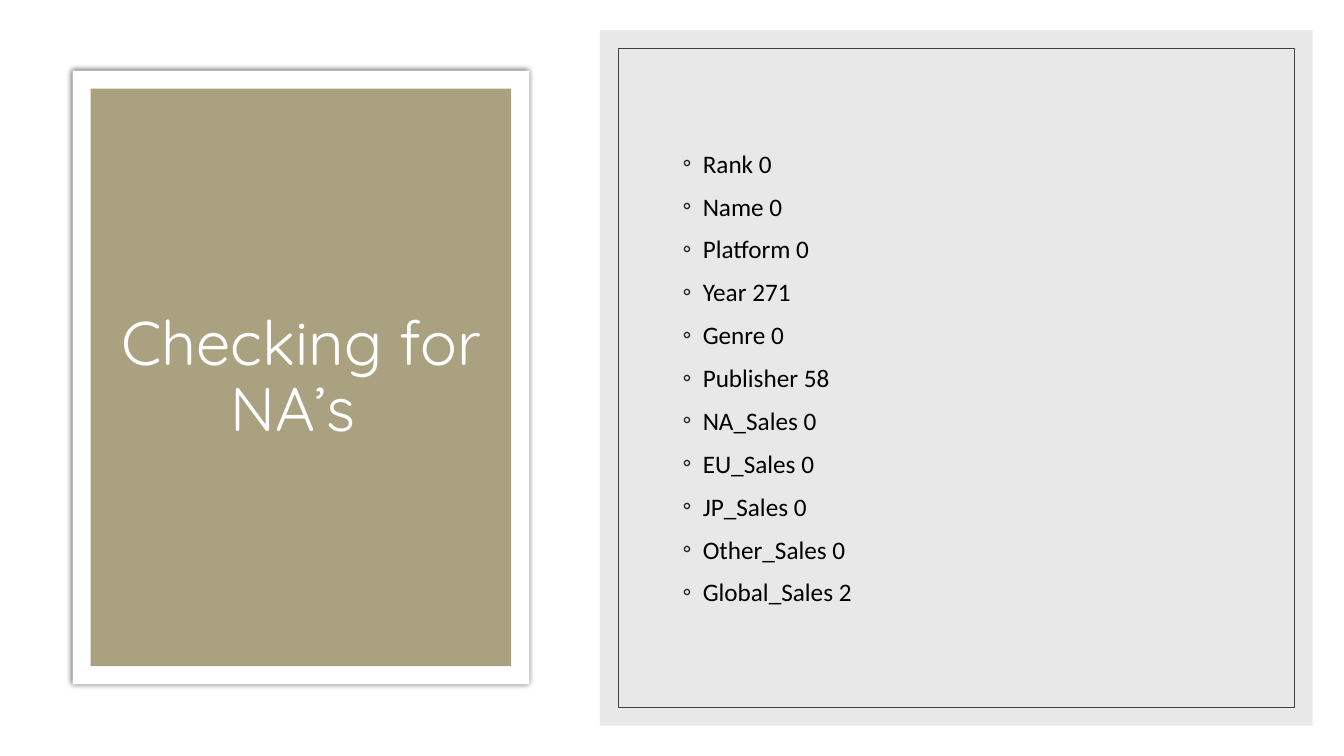
from lxml.etree import SubElement
from pptx import Presentation
from pptx.dml.color import RGBColor
from pptx.enum.shapes import MSO_SHAPE
from pptx.enum.text import MSO_ANCHOR, MSO_AUTO_SIZE, PP_ALIGN
from pptx.oxml.ns import qn
from pptx.util import Emu, Pt

EMU_PER_PX = 9144
WIDTH, HEIGHT = 1333, 750
MAT = 18
NA_COUNTS = {
    "Rank": 0, "Name": 0, "Platform": 0, "Year": 271, "Genre": 0,
    "Publisher": 58, "NA_Sales": 0, "EU_Sales": 0, "JP_Sales": 0,
    "Other_Sales": 0, "Global_Sales": 2,
}


def px(length):
    return Emu(length * EMU_PER_PX)


def color(hex_code):
    return RGBColor.from_string(hex_code)


def inset(box, margin):
    left, top, width, height = box
    return left + margin, top + margin, width - 2 * margin, height - 2 * margin


class SlideBuilder:
    """Draws the slide's panels and text in one shared style."""

    title_font, body_font = "Quicksand", "Calibri"
    ink, bullet_ink = "000000", "262626"

    def __init__(self, slide):
        self.slide = slide

    def panel(self, box, fill=None, line=None, alpha=None, shadow=False):
        panel = self.slide.shapes.add_shape(MSO_SHAPE.RECTANGLE, *map(px, box))
        panel.shadow.inherit = False
        if fill:
            panel.fill.solid()
            panel.fill.fore_color.rgb = color(fill)
        else:
            panel.fill.background()
        if line:
            panel.line.color.rgb = color(line)
            panel.line.width = Pt(0.5)
        else:
            panel.line.fill.background()
        properties = panel._element.spPr
        if alpha:
            tint = properties.find(qn("a:solidFill"))[0]
            SubElement(tint, qn("a:alpha"), val=str(alpha * 1000))
        if shadow:
            effects = properties.find(qn("a:effectLst"))
            glow = SubElement(effects, qn("a:outerShdw"), blurRad=str(Pt(4)),
                              dist="0", dir="0", algn="ctr", rotWithShape="0")
            shade = SubElement(glow, qn("a:srgbClr"), val="000000")
            SubElement(shade, qn("a:alpha"), val="66000")

    def place(self, holder, box):
        holder.left, holder.top, holder.width, holder.height = map(px, box)
        self.slide.shapes._spTree.append(holder._element)
        frame = holder.text_frame
        frame.word_wrap = True
        frame.auto_size = MSO_AUTO_SIZE.NONE
        frame.vertical_anchor = MSO_ANCHOR.MIDDLE
        return frame

    def style(self, paragraph, font, size, ink):
        for run in paragraph.runs:
            run.font.name = font
            run.font.size = Pt(size)
            run.font.color.rgb = color(ink)

    def title(self, box, text):
        frame = self.place(self.slide.shapes.title, box)
        frame.text = text
        heading = frame.paragraphs[0]
        heading.alignment = PP_ALIGN.CENTER
        heading.line_spacing = 0.9
        self.style(heading, self.title_font, 44, "FFFFFF")

    def bullets(self, box, items):
        frame = self.place(self.slide.placeholders[1], box)
        frame.text = "\n".join(items)
        for item in frame.paragraphs:
            item.space_before = Pt(9)
            self.style(item, self.body_font, 18, self.ink)
            properties = item._p.get_or_add_pPr()
            properties.set("marL", str(px(20)))
            properties.set("indent", str(px(-20)))
            bullet_color = SubElement(properties, qn("a:buClr"))
            SubElement(bullet_color, qn("a:srgbClr"), val=self.bullet_ink)
            SubElement(properties, qn("a:buFont"), typeface=self.body_font)
            SubElement(properties, qn("a:buChar"), char="◦")


def main():
    deck = Presentation()
    deck.slide_width, deck.slide_height = px(WIDTH), px(HEIGHT)
    builder = SlideBuilder(deck.slides.add_slide(deck.slide_layouts[1]))
    title_card = (72, 70, 453, 609)
    list_card = (595, 30, 707, 690)

    builder.panel((0, 0, WIDTH, HEIGHT), fill="FFFFFF")
    builder.panel(title_card, fill="FFFFFF", shadow=True)
    builder.panel(inset(title_card, MAT), fill="AAA180")
    builder.title((108, 130, 382, 491), "Checking for NA’s ")
    builder.panel(list_card, fill="D9D9D9", alpha=60)
    builder.panel(inset(list_card, MAT), line="404040")
    builder.bullets((667, 102, 566, 545),
                    [f"{column} {count}" for column, count in NA_COUNTS.items()])
    deck.save("out.pptx")


if __name__ == "__main__":
    main()
